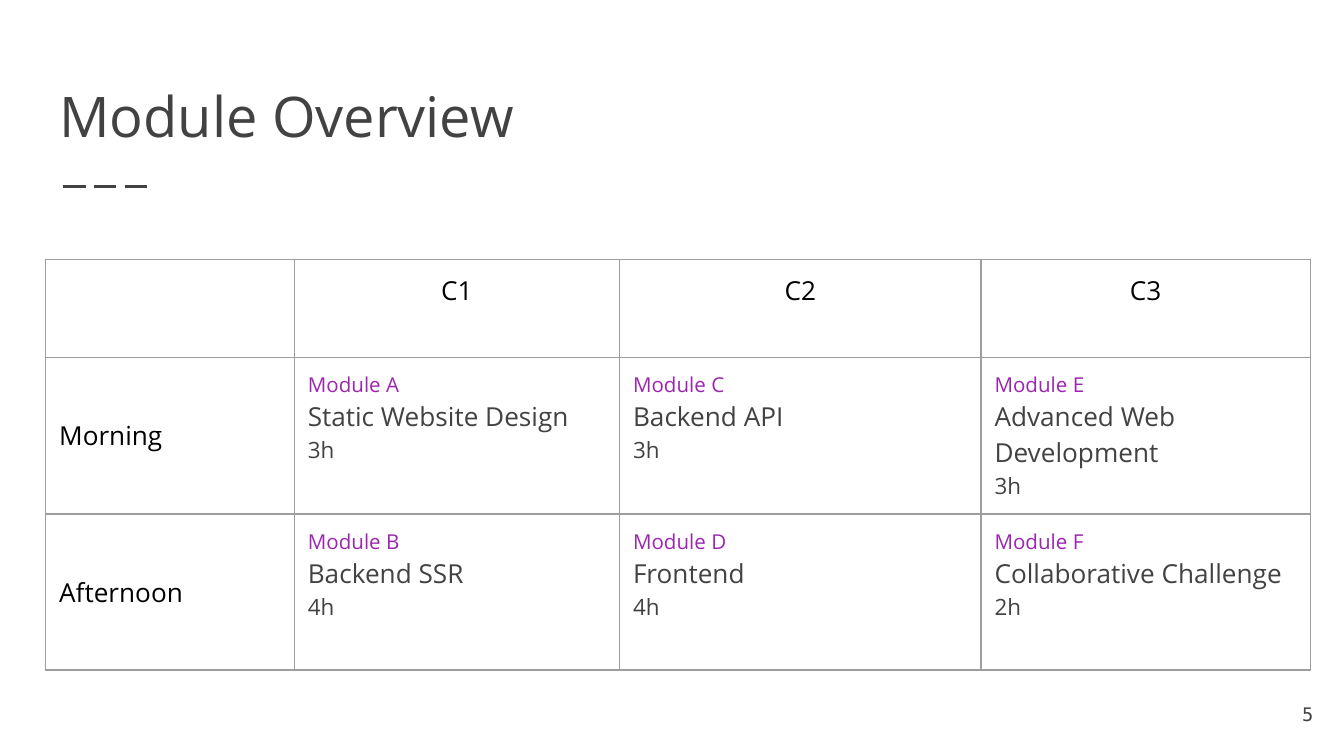
from lxml import etree
from pptx import Presentation
from pptx.dml.color import RGBColor
from pptx.enum.dml import MSO_LINE_DASH_STYLE as Dash
from pptx.enum.shapes import MSO_CONNECTOR as Connector
from pptx.enum.text import MSO_ANCHOR as Anchor, MSO_AUTO_SIZE as AutoSize, PP_ALIGN as Align
from pptx.oxml import parse_xml
from pptx.oxml.ns import nsdecls, qn
from pptx.util import Inches, Pt

FONT = "Open Sans"
DARK, BLACK, PURPLE, GRAY = "424242", "000000", "9C26B0", "9E9E9E"
INSET = Inches(0.1)
COLUMN_WIDTHS = [1.85, 2.42, 2.69, 2.45]
ROW_HEIGHTS = [0.73, 1.16, 1.16]
COURSES = ["C1", "C2", "C3"]
SESSIONS = {
    "Morning": [
        ("Module A", "Static Website Design", "3h"),
        ("Module C", "Backend API", "3h"),
        ("Module E", "Advanced Web Development", "3h"),
    ],
    "Afternoon": [
        ("Module B", "Backend SSR", "4h"),
        ("Module D", "Frontend", "4h"),
        ("Module F", "Collaborative Challenge", "2h"),
    ],
}


def color(value):
    return RGBColor.from_string(value)


def write(paragraph, text, size=14, fill=BLACK, font=FONT, align=Align.LEFT):
    paragraph.alignment = align
    run = paragraph.add_run()
    run.text = text
    run.font.size = Pt(size)
    run.font.name = font
    run.font.color.rgb = color(fill)


def set_frame(text_frame, anchor):
    text_frame.word_wrap = True
    text_frame.auto_size = AutoSize.NONE
    text_frame.vertical_anchor = anchor
    text_frame.margin_left = text_frame.margin_right = INSET
    text_frame.margin_top = text_frame.margin_bottom = INSET


def add_title(slide, text):
    title = slide.shapes.title
    title.left, title.top = Inches(0.34), Inches(0.41)
    title.width, title.height = Inches(9.32), Inches(0.8)
    set_frame(title.text_frame, Anchor.BOTTOM)
    write(title.text_frame.paragraphs[0], text, size=30, fill=DARK)


def add_dashes(slide):
    dashes = slide.shapes.add_connector(
        Connector.STRAIGHT, Inches(0.47), Inches(1.39), Inches(1.14), Inches(1.39))
    dashes.line.color.rgb = color(DARK)
    dashes.line.width = Pt(1.5)
    dashes.line.dash_style = Dash.LONG_DASH
    etree.SubElement(dashes.element.spPr, qn("a:effectLst"))


def format_cell(cell):
    properties = cell._tc.get_or_add_tcPr()
    for side in ("lnL", "lnR", "lnT", "lnB"):
        properties.append(parse_xml(
            f'<a:{side} {nsdecls("a")} w="{Pt(0.75)}"><a:solidFill>'
            f'<a:srgbClr val="{GRAY}"/></a:solidFill></a:{side}>'))
    cell.fill.background()
    cell.margin_left = cell.margin_right = INSET
    cell.margin_top = cell.margin_bottom = INSET


def fill_module(cell, module):
    text_frame = cell.text_frame
    for index, (text, size, fill) in enumerate(zip(module, (11, 14, 12), (PURPLE, DARK, DARK))):
        paragraph = text_frame.add_paragraph() if index else text_frame.paragraphs[0]
        write(paragraph, text, size=size, fill=fill)


def add_schedule(slide):
    table = slide.shapes.add_table(
        len(ROW_HEIGHTS), len(COLUMN_WIDTHS), Inches(0.34), Inches(1.93),
        Inches(sum(COLUMN_WIDTHS)), Inches(sum(ROW_HEIGHTS))).table
    table.first_row = table.horz_banding = False
    for column, width in zip(table.columns, COLUMN_WIDTHS):
        column.width = Inches(width)
    for row, height in zip(table.rows, ROW_HEIGHTS):
        row.height = Inches(height)
    for cell in table.iter_cells():
        format_cell(cell)
    for column, course in enumerate(COURSES, 1):
        write(table.cell(0, column).text_frame.paragraphs[0], course, align=Align.CENTER)
    for row, (session, modules) in enumerate(SESSIONS.items(), 1):
        label = table.cell(row, 0)
        label.vertical_anchor = Anchor.MIDDLE
        write(label.text_frame.paragraphs[0], session)
        for column, module in enumerate(modules, 1):
            fill_module(table.cell(row, column), module)


def add_page_number(slide, text):
    box = slide.shapes.add_textbox(Inches(9.27), Inches(5.1), Inches(0.6), Inches(0.43))
    set_frame(box.text_frame, Anchor.MIDDLE)
    write(box.text_frame.paragraphs[0], text, size=10, fill=DARK,
          font="DejaVu Sans Mono", align=Align.RIGHT)


def main():
    presentation = Presentation()
    presentation.slide_width = Inches(10)
    presentation.slide_height = presentation.slide_width * 9 // 16
    slide = presentation.slides.add_slide(presentation.slide_layouts[5])
    slide.background.fill.solid()
    slide.background.fill.fore_color.rgb = color("FFFFFF")
    add_dashes(slide)
    add_title(slide, "Module Overview")
    add_schedule(slide)
    add_page_number(slide, "5")
    presentation.save("out.pptx")


if __name__ == "__main__":
    main()
